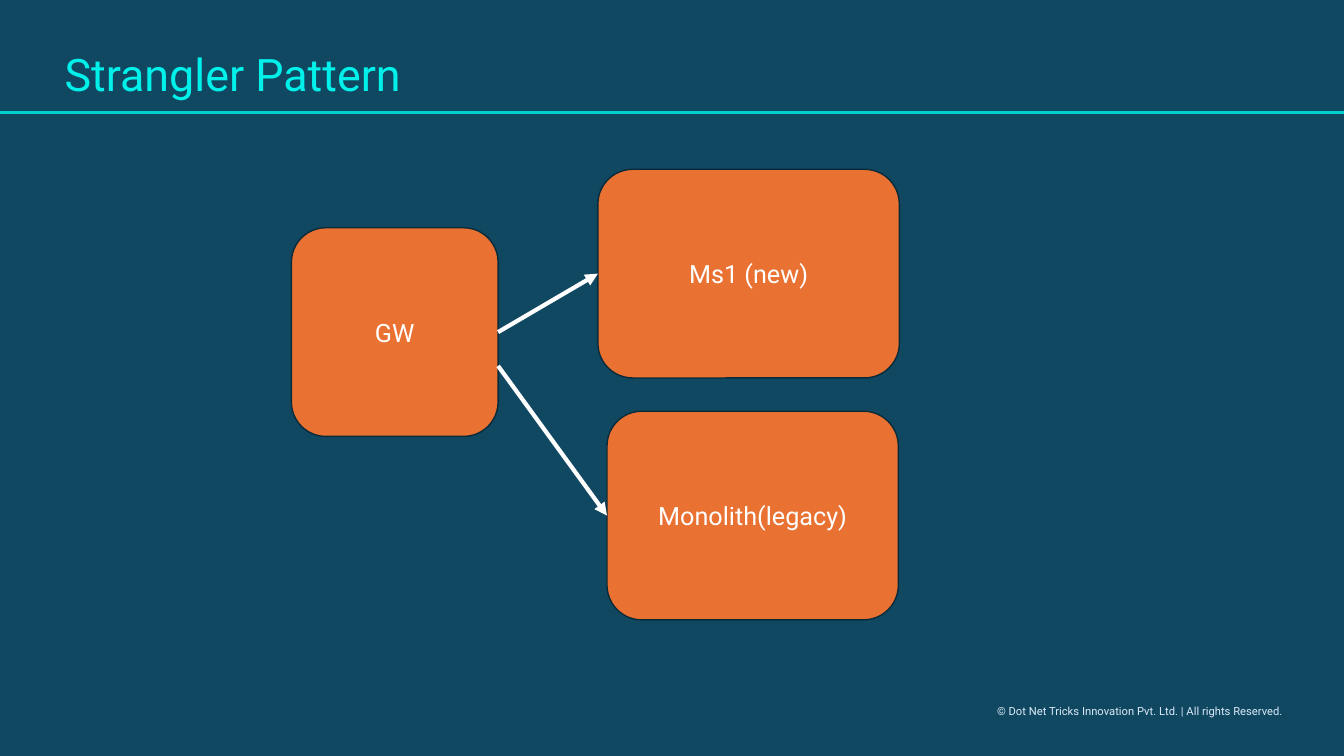
from lxml import etree
from pptx import Presentation
from pptx.dml.color import RGBColor
from pptx.enum import shapes, text
from pptx.oxml.ns import qn
from pptx.util import Inches, Pt


def set_font(paragraph, size, color):
    paragraph.font.name = "Roboto"
    paragraph.font.size = Pt(size)
    paragraph.font.color.rgb = RGBColor.from_string(color)


def add_line(start, end, color, width):
    line = slide.shapes.add_connector(
        shapes.MSO_CONNECTOR.STRAIGHT, *map(Inches, start + end))
    line.line.color.rgb = RGBColor.from_string(color)
    line.line.width = Pt(width)
    etree.SubElement(line._element.spPr, qn("a:effectLst"))
    return line


presentation = Presentation()
presentation.slide_width = Inches(13.33)
presentation.slide_height = Inches(7.5)
slide = presentation.slides.add_slide(presentation.slide_layouts[5])
slide.background.fill.solid()
slide.background.fill.fore_color.rgb = RGBColor.from_string("104862")

# Title, rule and footer
title = slide.shapes.title
title.left, title.top = Inches(0.54), Inches(0.47)
title.width, title.height = Inches(12.16), Inches(0.58)
title.text_frame.text = "Strangler Pattern"
title.text_frame.auto_size = text.MSO_AUTO_SIZE.NONE
title.text_frame.vertical_anchor = text.MSO_ANCHOR.MIDDLE
heading = title.text_frame.paragraphs[0]
heading.alignment = text.PP_ALIGN.LEFT
heading.line_spacing = 0.9
set_font(heading, 32, "00F0EA")

add_line((0, 1.12), (13.33, 1.12), "00D1CF", 2)

footer = slide.shapes.add_textbox(
    Inches(9.79), Inches(6.94), Inches(3.05), Inches(0.24))
footer.text_frame.word_wrap = True
footer.text_frame.text = "© Dot Net Tricks Innovation Pvt. Ltd. | All rights Reserved."
set_font(footer.text_frame.paragraphs[0], 8, "DCEAF7")

# Gateway and the two services behind it
boxes = {}
for label, left, top, width in (
    ("GW", 2.89, 2.26, 2.05),
    ("Ms1 (new)", 5.93, 1.68, 2.99),
    ("Monolith(legacy)", 6.02, 4.08, 2.89),
):
    box = slide.shapes.add_shape(
        shapes.MSO_SHAPE.ROUNDED_RECTANGLE,
        Inches(left), Inches(top), Inches(width), Inches(2.07))
    box.shadow.inherit = False
    box.fill.solid()
    box.fill.fore_color.rgb = RGBColor.from_string("E97132")
    box.line.color.rgb = RGBColor.from_string("092A39")
    box.line.width = Pt(1)
    box.text_frame.text = label
    box.text_frame.vertical_anchor = text.MSO_ANCHOR.MIDDLE
    box.text_frame.paragraphs[0].alignment = text.PP_ALIGN.CENTER
    set_font(box.text_frame.paragraphs[0], 18, "FFFFFF")
    boxes[label] = box

# Routes from the gateway
route_to_new = add_line((4.94, 3.3), (5.93, 2.71), "FFFFFF", 3)
route_to_new.begin_connect(boxes["GW"], 3)
route_to_new.end_connect(boxes["Ms1 (new)"], 1)
route_to_legacy = add_line((4.94, 3.63), (6.02, 5.12), "FFFFFF", 3)
route_to_legacy.end_connect(boxes["Monolith(legacy)"], 1)
for route in (route_to_new, route_to_legacy):
    etree.SubElement(route.line._get_or_add_ln(), qn("a:tailEnd"), type="triangle")

presentation.save("out.pptx")
